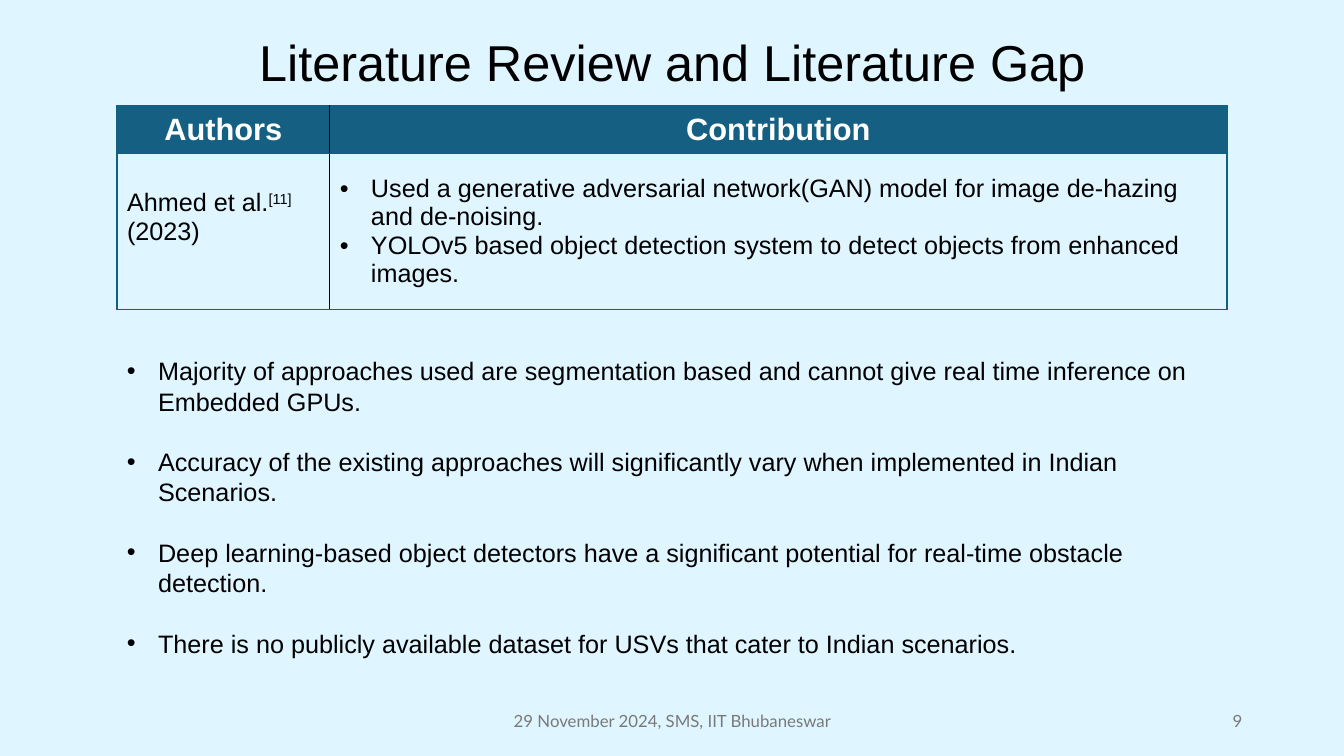
from dataclasses import dataclass

from lxml import etree
from pptx import Presentation
from pptx import util as u
from pptx.dml.color import RGBColor
from pptx.enum import text
from pptx.oxml.ns import qn


@dataclass(frozen=True)
class Theme:
    """Colours, fonts and type sizes of the slide."""
    background: str = "DFF5FF"
    accent: str = "156082"
    ink: str = "000000"
    light: str = "FFFFFF"
    muted: str = "797979"
    font: str = "Arial"
    footer_font: str = "Lato"
    title: int = 36
    header: int = 22
    body: int = 18
    footer: int = 12


T = Theme()
CENTER, RIGHT = text.PP_ALIGN.CENTER, text.PP_ALIGN.RIGHT
MIDDLE = text.MSO_ANCHOR.MIDDLE
INDENT = u.Inches(0.31)

CONTRIBUTIONS = [
    "Used a generative adversarial network(GAN) model for image de-hazing and de-noising.",
    "YOLOv5 based object detection system to detect objects from enhanced images.",
]
GAPS = [
    "Majority of approaches used are segmentation based and cannot give real time inference on Embedded GPUs.",
    "Accuracy of the existing approaches will significantly vary when implemented in Indian Scenarios.",
    "Deep learning-based object detectors have a significant potential for real-time obstacle detection.",
    "There is no publicly available dataset for USVs that cater to Indian scenarios.",
]


def add_run(p, content, size=T.body, color=T.ink, font=T.font, bold=False, baseline=0):
    """Append a formatted run to a paragraph."""
    r = p.add_run()
    r.text = content
    r.font.size = u.Pt(size)
    r.font.name = font
    r.font.bold = bold
    r.font.color.rgb = RGBColor.from_string(color)
    if baseline:
        r.font._element.set("baseline", str(baseline * 1000))


def write(tf, lines, align=None, bullet=False, gap=0, **style):
    """Fill a text frame with one formatted paragraph per line."""
    for i, line in enumerate(lines):
        p = tf.paragraphs[0] if i == 0 else tf.add_paragraph()
        if bullet:
            pPr = p._p.get_or_add_pPr()
            pPr.set("marL", str(INDENT))
            pPr.set("indent", str(-INDENT))
            etree.SubElement(pPr, qn("a:buFont")).set("typeface", T.font)
            etree.SubElement(pPr, qn("a:buChar")).set("char", "•")
        if align is not None:
            p.alignment = align
        if gap and i:
            p.space_before = u.Pt(gap)
        add_run(p, line, **style)


def add_text(s, box, lines, anchor=text.MSO_ANCHOR.TOP, top=0.05, **style):
    """Add a wrapping text box."""
    tf = s.shapes.add_textbox(*map(u.Inches, box)).text_frame
    tf.word_wrap = True
    tf.vertical_anchor = anchor
    tf.margin_top = u.Inches(top)
    write(tf, lines, **style)


def style_cell(cell, fill=None, **borders):
    """Set a cell's borders by side letter, then its fill and anchor."""
    tcPr = cell._tc.get_or_add_tcPr()
    for side in "LRTB":
        ln = etree.SubElement(tcPr, qn(f"a:ln{side}"), w=str(u.Pt(1)))
        solid = etree.SubElement(ln, qn("a:solidFill"))
        etree.SubElement(solid, qn("a:srgbClr"), val=borders.get(side, T.accent))
    if fill:
        cell.fill.solid()
        cell.fill.fore_color.rgb = RGBColor.from_string(fill)
    else:
        cell.fill.background()
    cell.vertical_anchor = MIDDLE


def add_review_table(s):
    """Add the table of authors and contributions."""
    table = s.shapes.add_table(2, 2, *map(u.Inches, (1.16, 1.05, 11.01, 2.02))).table
    table.first_row = table.horz_banding = False
    for col, width in zip(table.columns, (2.11, 8.9)):
        col.width = u.Inches(width)
    for row, height in zip(table.rows, (0.47, 1.55)):
        row.height = u.Inches(height)
    for i, fill in enumerate((T.accent, None)):
        style_cell(table.cell(i, 0), fill, R=T.ink)
        style_cell(table.cell(i, 1), fill, L=T.ink)
    for i, heading in enumerate(("Authors", "Contribution")):
        write(table.cell(0, i).text_frame, [heading], align=CENTER,
              size=T.header, color=T.light, bold=True)
    author = table.cell(1, 0)
    author.margin_bottom = u.Inches(0.33)
    p = author.text_frame.paragraphs[0]
    add_run(p, "Ahmed et al.")
    add_run(p, "[11]", baseline=30)
    add_run(p, " (2023)")
    write(table.cell(1, 1).text_frame, CONTRIBUTIONS, bullet=True)


def main():
    """Build and save the slide."""
    prs = Presentation()
    prs.slide_width, prs.slide_height = u.Inches(13.33), u.Inches(7.5)
    s = prs.slides.add_slide(prs.slide_layouts[6])
    s.background.fill.solid()
    s.background.fill.fore_color.rgb = RGBColor.from_string(T.background)

    footer = dict(anchor=MIDDLE, size=T.footer, color=T.muted, font=T.footer_font)
    add_text(s, (9.42, 6.95, 3, 0.4), ["9"], align=RIGHT, **footer)
    add_text(s, (2.17, 0.16, 9, 0.81), ["Literature Review and Literature Gap"],
             top=0.15, align=CENTER, size=T.title)
    add_review_table(s)
    add_text(s, (1.16, 3.48, 11, 3.1), GAPS, bullet=True, gap=21.6)
    add_text(s, (4.42, 6.95, 4.5, 0.4), ["29 November 2024, SMS, IIT Bhubaneswar"],
             align=CENTER, **footer)
    prs.save("out.pptx")


if __name__ == "__main__":
    main()
